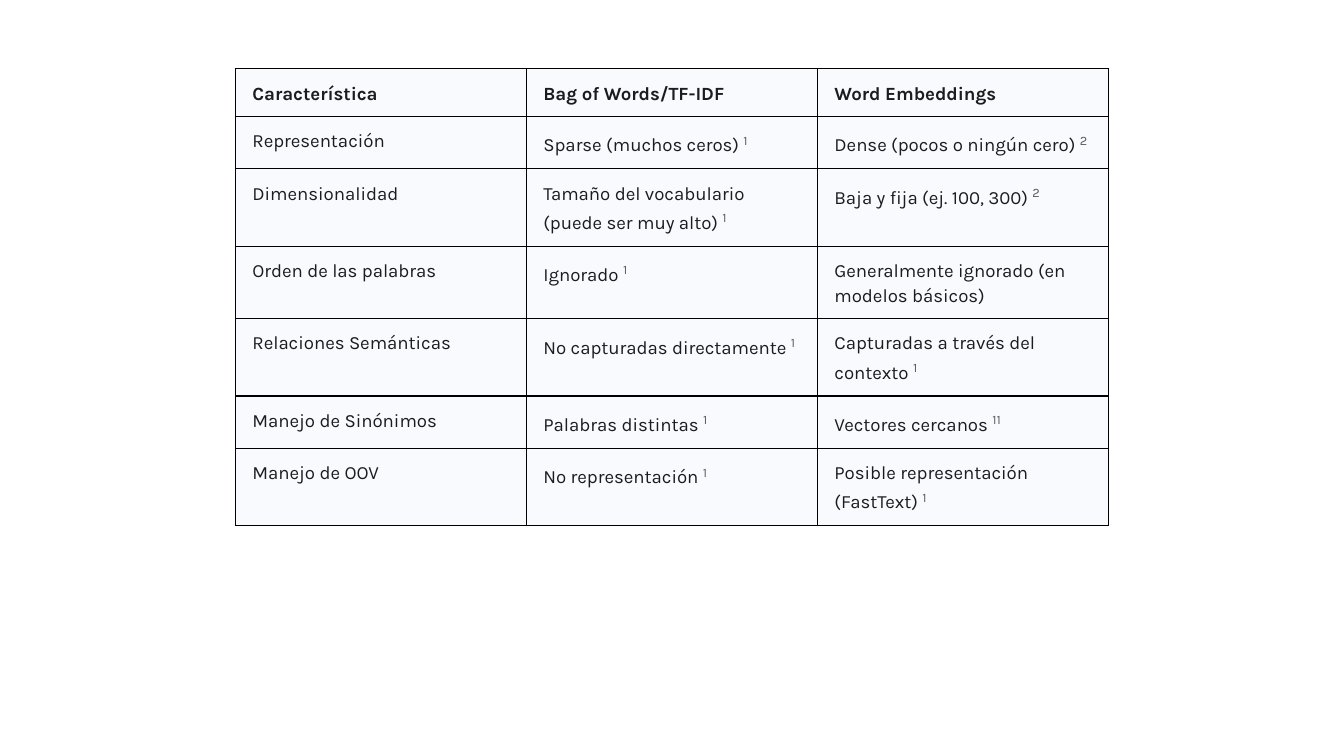
import pptx
import pptx.dml.color
import pptx.oxml
import pptx.oxml.ns
import pptx.util
from pptx.util import Cm

INK = pptx.dml.color.RGBColor(0x1B, 0x1C, 0x1D)
NOTE_GREY = pptx.dml.color.RGBColor(0x57, 0x5B, 0x5F)
CELL_TINT = pptx.dml.color.RGBColor(0xF8, 0xFA, 0xFD)
BORDER = pptx.dml.color.RGBColor(0x00, 0x00, 0x00)

BODY = {"name": "Karla", "size": pptx.util.Pt(10), "bold": False}
HEADING = {**BODY, "bold": True}
NOTE = {**BODY, "size": pptx.util.Pt(12)}
CELL_FORMAT = {
    "margin_left": Cm(0.32), "margin_right": Cm(0.32),
    "margin_top": Cm(0.21), "margin_bottom": Cm(0.21),
}

# Each cell holds its wording and its reference mark
COMPARISON = [
    [("Característica", ""), ("Bag of Words/TF-IDF", ""), ("Word Embeddings", "")],
    [("Representación", ""), ("Sparse (muchos ceros) ", "1"),
     ("Dense (pocos o ningún cero) ", "2")],
    [("Dimensionalidad", ""), ("Tamaño del vocabulario (puede ser muy alto) ", "1"),
     ("Baja y fija (ej. 100, 300) ", "2")],
    [("Orden de las palabras", ""), ("Ignorado ", "1"),
     ("Generalmente ignorado (en modelos básicos)", "")],
    [("Relaciones Semánticas", ""), ("No capturadas directamente ", "1"),
     ("Capturadas a través del contexto ", "1")],
    [("Manejo de Sinónimos", ""), ("Palabras distintas ", "1"),
     ("Vectores cercanos ", "11")],
    [("Manejo de OOV", ""), ("No representación ", "1"),
     ("Posible representación (FastText) ", "1")],
]
ROW_HEIGHTS = [0.9, 0.98, 1.45, 1.37, 1.45, 0.98, 1.45]


def set_attributes(target, values):
    for name, value in values.items():
        setattr(target, name, value)


def add_run(paragraph, wording, font_format, color):
    run = paragraph.add_run()
    run.text = wording
    set_attributes(run.font, font_format)
    run.font.color.rgb = color
    return run


def draw_borders(cell):
    properties = cell._tc.get_or_add_tcPr()
    for side in ("lnL", "lnR", "lnT", "lnB"):
        properties.append(pptx.oxml.parse_xml(
            f'<a:{side} {pptx.oxml.ns.nsdecls("a")} w="{pptx.util.Pt(0.75)}">'
            f'<a:solidFill><a:srgbClr val="{BORDER}"/></a:solidFill></a:{side}>'))


def fill_cell(cell, wording, mark, font_format):
    set_attributes(cell, CELL_FORMAT)
    draw_borders(cell)
    cell.fill.solid()
    cell.fill.fore_color.rgb = CELL_TINT
    paragraph = cell.text_frame.paragraphs[0]
    paragraph.line_spacing = 1.15
    add_run(paragraph, wording, font_format, INK)
    if mark:
        reference = add_run(paragraph, mark, NOTE, NOTE_GREY)
        reference._r.get_or_add_rPr().set("baseline", "30000")


def add_comparison(slide, left, top, width, height):
    column_count = len(COMPARISON[0])
    comparison = slide.shapes.add_table(
        len(COMPARISON), column_count, left, top, width, height).table
    set_attributes(comparison, {"first_row": False, "horz_banding": False})
    for column in comparison.columns:
        column.width = width // column_count
    for row, share, entries in zip(comparison.rows, ROW_HEIGHTS, COMPARISON):
        row.height = int(height * share / sum(ROW_HEIGHTS))
        font_format = HEADING if entries is COMPARISON[0] else BODY
        for cell, (wording, mark) in zip(row.cells, entries):
            fill_cell(cell, wording, mark, font_format)


def main():
    deck = pptx.Presentation()
    deck.slide_width, deck.slide_height = Cm(25.4), Cm(14.29)
    slide = deck.slides.add_slide(deck.slide_layouts[6])
    # Comparison of text representations
    add_comparison(slide, Cm(4.45), Cm(1.3), Cm(16.5), Cm(sum(ROW_HEIGHTS)))
    deck.save("out.pptx")


if __name__ == "__main__":
    main()
